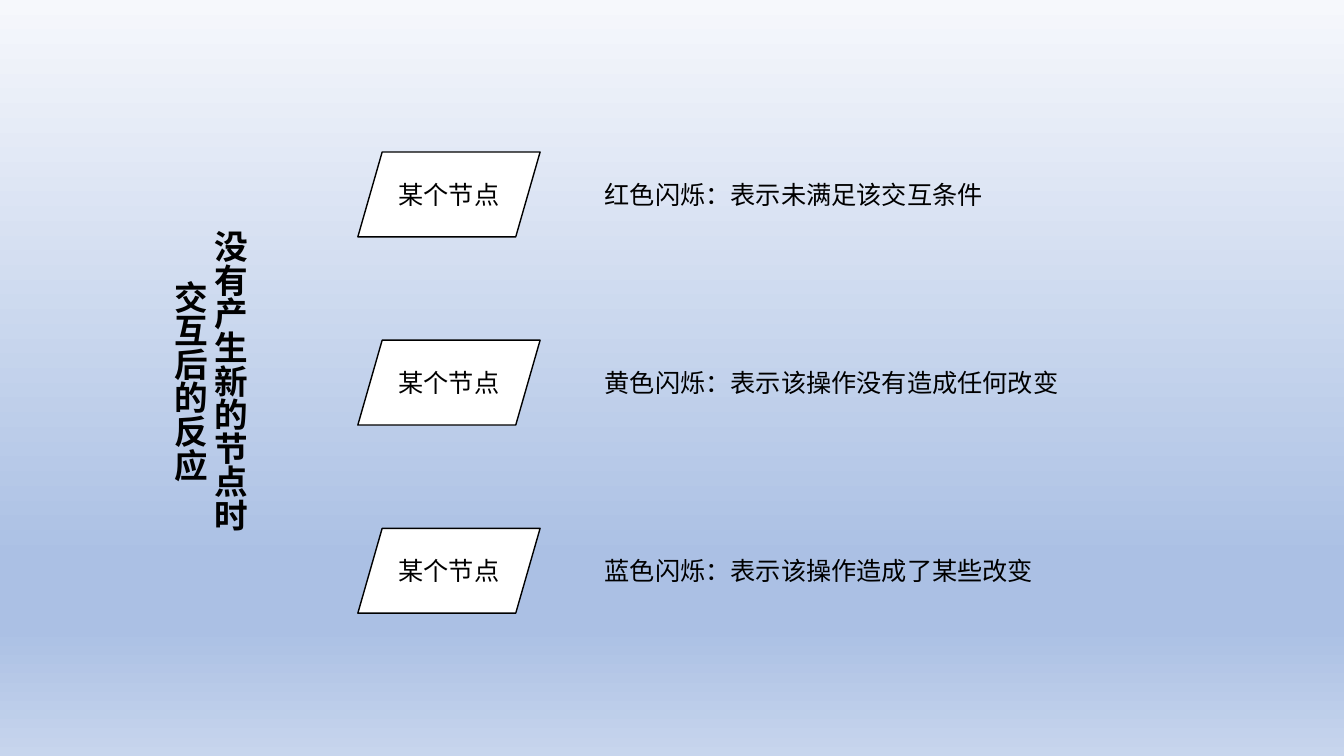
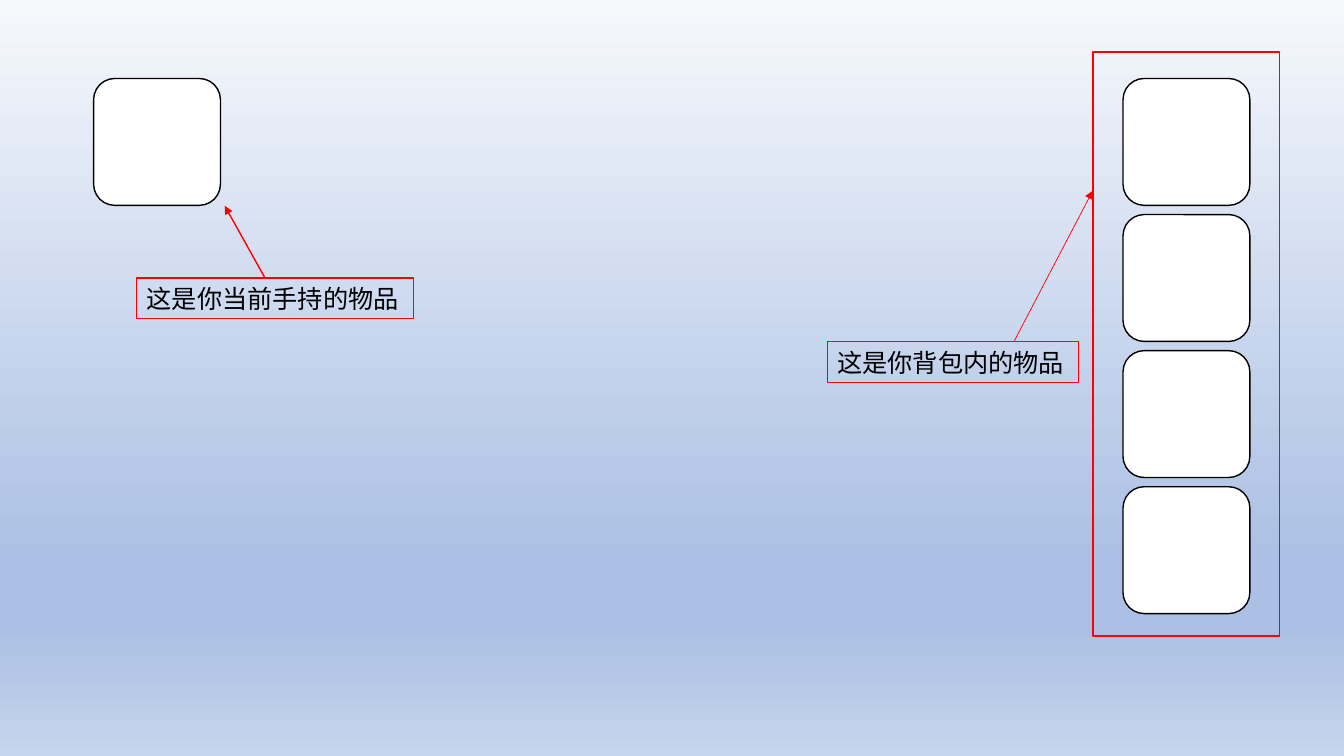
import pptx
import pptx.dml.color
import pptx.enum.shapes
import pptx.enum.text
import pptx.oxml
import pptx.oxml.ns
import pptx.util

FONT = "Noto Sans CJK SC"
COLORS = {"text": "000000", "fill": "FFFFFF", "outline": "000000", "mark": "FF0000"}
BACKGROUND = [(0, "F6F8FC"), (74, "ABC0E4"), (83, "ABC0E4"), (100, "C7D5ED")]
COLS, ROWS = 160, 90  # square grid cells over a 16:9 slide

SHAPE = pptx.enum.shapes.MSO_SHAPE
ALIGN = pptx.enum.text.PP_ALIGN
qn = pptx.oxml.ns.qn

prs = pptx.Presentation()
prs.slide_width = pptx.util.Inches(13.3333)
prs.slide_height = pptx.util.Inches(7.5)
cell = prs.slide_height / ROWS


def add_box(s, kind, x, y, w, h, fill=None, line=None, width=1):
    """Add a preset shape at a grid position; no fill or line colour means none."""
    sp = s.shapes.add_shape(kind, *[round(v * cell) for v in (x, y, w, h)])
    sp.shadow.inherit = False
    if fill:
        sp.fill.solid()
        sp.fill.fore_color.rgb = pptx.dml.color.RGBColor.from_string(COLORS[fill])
    else:
        sp.fill.background()
    if line:
        sp.line.color.rgb = pptx.dml.color.RGBColor.from_string(COLORS[line])
        sp.line.width = pptx.util.Pt(width)
    else:
        sp.line.fill.background()
    return sp


def write(sp, text, size=18, bold=False, align=ALIGN.LEFT, wrap=False):
    tf = sp.text_frame
    tf.text = text
    tf.word_wrap = wrap
    tf.auto_size = pptx.enum.text.MSO_AUTO_SIZE.NONE
    tf.vertical_anchor = pptx.enum.text.MSO_ANCHOR.MIDDLE
    for p in tf.paragraphs:
        p.alignment = align
        for r in p.runs:
            r.font.name = FONT
            r.font.size = pptx.util.Pt(size)
            r.font.bold = bold
            r.font.color.rgb = pptx.dml.color.RGBColor.from_string(COLORS["text"])
            ea = pptx.oxml.parse_xml(
                f'<a:ea {pptx.oxml.ns.nsdecls("a")} typeface="{FONT}"/>')
            r.font._element.find(qn("a:latin")).addnext(ea)


# Shared background on the slide master
fill = prs.slide_master.background.fill
fill.gradient()
fill.gradient_angle = 270
stops = prs.slide_master._element.find(".//" + qn("a:gsLst"))
for stop in list(stops):
    stops.remove(stop)
for share, color in BACKGROUND:
    stops.append(pptx.oxml.parse_xml(
        f'<a:gs {pptx.oxml.ns.nsdecls("a")} pos="{share * 1000}">'
        f'<a:srgbClr val="{color}"/></a:gs>'))

# Slide 1: reactions of a node
s = prs.slides.add_slide(prs.slide_layouts[5])
title = s.shapes.title
title.left, title.top, title.width, title.height = [
    round(v * cell) for v in (19, 26.8, 12.1, 37.6)]
write(title, "没有产生新的节点时\n交互后的反应", 24, True, ALIGN.CENTER)
title.text_frame._txBody.bodyPr.set("vert", "eaVert")

reactions = [
    ("红色闪烁：表示未满足该交互条件", 47.9),
    ("黄色闪烁：表示该操作没有造成任何改变", 57),
    ("蓝色闪烁：表示该操作造成了某些改变", 53.9),
]
for i, (text, width) in enumerate(reactions):
    y = 18.1 + 22.4 * i
    node = add_box(s, SHAPE.PARALLELOGRAM, 42.6, y, 21.7, 10.1, "fill", "outline")
    node.adjustments[0] = 0.287
    write(node, "某个节点", align=ALIGN.CENTER, wrap=True)
    tb = s.shapes.add_textbox(
        *[round(v * cell) for v in (70.8, y + 2.65, width, 4.8)])
    write(tb, text)

# Slide 2: item slots
s = prs.slides.add_slide(prs.slide_layouts[6])
slot, top, pitch = 15.1, 9.35, 16.2
slots = [(11.15, top)] + [(133.7, top + pitch * i) for i in range(4)]
for x, y in slots:
    add_box(s, SHAPE.ROUNDED_RECTANGLE, x, y, slot, slot, "fill", "outline")
add_box(s, SHAPE.RECTANGLE, 130.1, 6.2, 22.2, 69.5, line="mark")

# text, label x, y and width, arrow start x, arrow tip, arrow line width
callouts = [
    ("这是你当前手持的物品", 16.3, 33.1, 32.9, 31.55, (26.75, 24.5), 1),
    ("这是你背包内的物品", 98.5, 40.7, 29.9, 120.7, (130.1, 22.7), 0.5),
]
for text, x, y, width, start, tip, weight in callouts:
    arrow = s.shapes.add_connector(
        pptx.enum.shapes.MSO_CONNECTOR.STRAIGHT,
        *[round(v * cell) for v in (start, y, *tip)])
    arrow.line.color.rgb = pptx.dml.color.RGBColor.from_string(COLORS["mark"])
    arrow.line.width = pptx.util.Pt(weight)
    for tag in ('tailEnd type="triangle"', "effectLst"):
        name = tag.split()[0]
        part = pptx.oxml.parse_xml(
            f'<a:{tag} {pptx.oxml.ns.nsdecls("a")}/>')
        parent = arrow.line._get_or_add_ln() if name == "tailEnd" else arrow._element.spPr
        parent.append(part)
    label = add_box(s, SHAPE.RECTANGLE, x, y, width, 4.8, line="mark", width=0.75)
    write(label, text)

prs.save("out.pptx")
